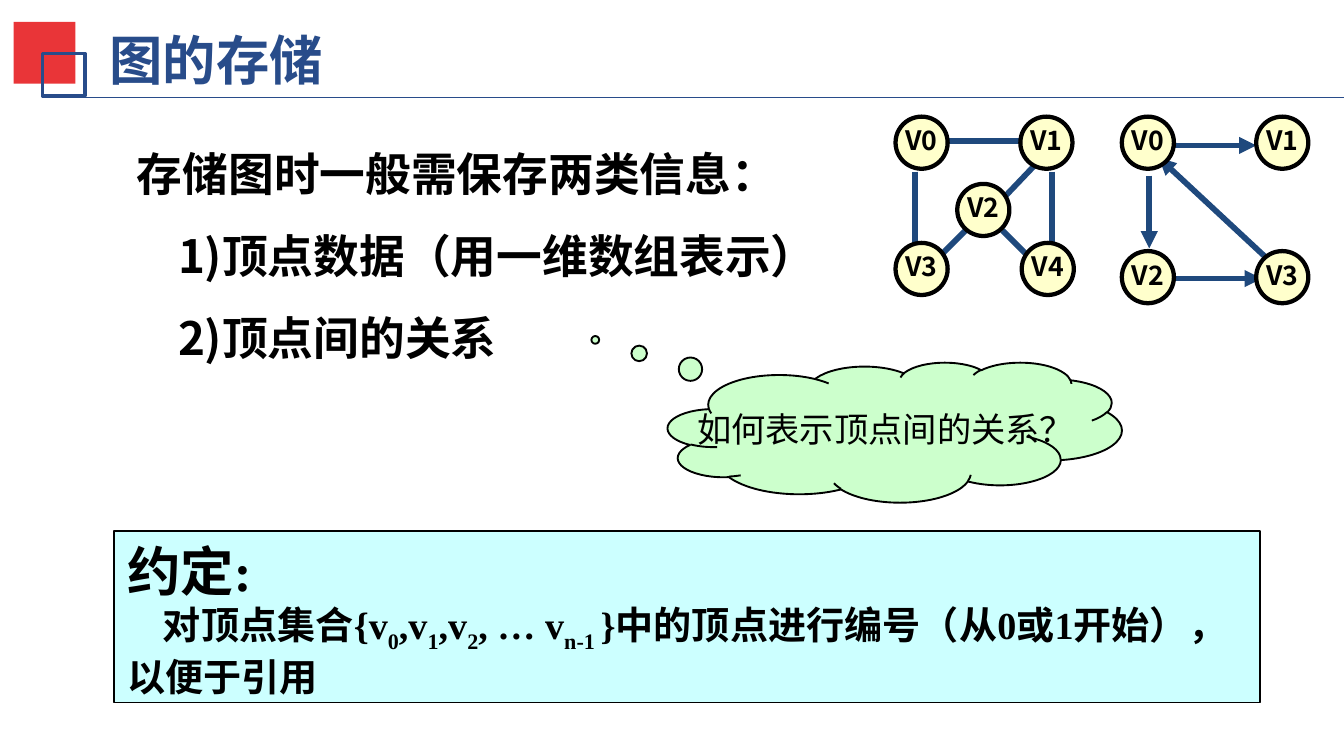
import pptx
import pptx.util
import pptx.dml.color
import pptx.enum.shapes
import pptx.enum.text
import pptx.oxml.ns
from lxml import etree

Inches, Pt = pptx.util.Inches, pptx.util.Pt
SHAPE = pptx.enum.shapes.MSO_SHAPE
ALIGN = pptx.enum.text.PP_ALIGN
ANCHOR = pptx.enum.text.MSO_ANCHOR
qn = pptx.oxml.ns.qn
SANS, SERIF = "Noto Sans CJK SC", "Times New Roman"
NAVY, EDGE, BLACK = "284C8A", "1F497D", "000000"

prs = pptx.Presentation()
prs.slide_width, prs.slide_height = Inches(9.8), Inches(5.51)
slide = prs.slides.add_slide(prs.slide_layouts[6])


def paint(target, fill=None, line=None, width=1, font=None):
    """Colour a shape, a connector or a run from hex strings."""
    rgb = pptx.dml.color.RGBColor.from_string
    if font:
        target.font.color.rgb = rgb(font)
        return
    if hasattr(target, "fill"):
        target.shadow.inherit = False
        if fill:
            target.fill.solid()
            target.fill.fore_color.rgb = rgb(fill)
        else:
            target.fill.background()
    if line:
        target.line.color.rgb = rgb(line)
        target.line.width = Pt(width)
    else:
        target.line.fill.background()


def add_run(p, text, size, font=SANS, color=BLACK, bold=True):
    r = p.add_run()
    r.text = text
    r.font.size, r.font.bold, r.font.name = Pt(size), bold, font
    paint(r, font=color)
    etree.SubElement(r.font._element, qn("a:ea")).set("typeface", SANS)
    return r


# Title with its red and blue squares
s = slide.shapes.add_textbox(Inches(0.73), Inches(0.16), Inches(6.91), Inches(0.55))
tf = s.text_frame
tf.word_wrap = True
tf.margin_left = tf.margin_right = Inches(0.07)
tf.margin_top = tf.margin_bottom = Inches(0.04)
add_run(tf.paragraphs[0], "图的存储", 28, SERIF, NAVY)

for left, top, side, fill, line in [(0.1, 0.16, 0.45, "E93538", None),
                                    (0.31, 0.39, 0.31, None, NAVY)]:
    s = slide.shapes.add_shape(SHAPE.RECTANGLE, Inches(left), Inches(top),
                               Inches(side), Inches(side))
    paint(s, fill, line, 2)

# Two kinds of information to store
s = slide.shapes.add_textbox(Inches(0.9), Inches(0.81), Inches(6.44), Inches(1.92))
tf = s.text_frame
tf.word_wrap = True
lines = ["存储图时一般需保存两类信息：", "1)顶点数据（用一维数组表示）", "2)顶点间的关系"]
for i, text in enumerate(lines):
    p = tf.add_paragraph() if i else tf.paragraphs[0]
    p.line_spacing = 1.5
    if i:
        p._p.get_or_add_pPr().set("marL", str(Inches(0.3)))
    add_run(p, text, 24)

# Numbering convention
s = slide.shapes.add_shape(SHAPE.RECTANGLE, Inches(0.83), Inches(3.87),
                           Inches(8.36), Inches(1.25))
paint(s, "CCFFFF", BLACK)
tf = s.text_frame
tf.word_wrap = True
tf.vertical_anchor = ANCHOR.TOP
p = tf.paragraphs[0]
p.alignment = ALIGN.LEFT
add_run(p, "约定:", 28, SERIF)
p = tf.add_paragraph()
p.alignment = ALIGN.LEFT
p._p.get_or_add_pPr().set("indent", str(Inches(0.26)))
parts = ["对顶点集合{v", "0", ",v", "1", ",v", "2", ", … v", "n-1 ",
         "}中的顶点进行编号（从0或1开始），以便于引用"]
for i, text in enumerate(parts):
    r = add_run(p, text, 20, SERIF)
    if i % 2:
        r.font._element.set("baseline", "-25000")

# Title rule and graph edges: from x, y, to x, y, colour, width, arrow
undirected = [(6.67, 1.25, 6.67, 1.78), (6.89, 1.03, 7.5, 1.03),
              (7.67, 1.25, 7.67, 1.78), (7.07, 1.65, 6.85, 1.87),
              (7.54, 1.21, 7.33, 1.43), (7.31, 1.68, 7.5, 1.87)]
directed = [(8.38, 1.28, 8.38, 1.81), (8.55, 2.03, 9.2, 2.03),
            (8.55, 1.06, 9.16, 1.06), (9.31, 1.95, 8.45, 1.15)]
edges = [((0.38, 0.71, 9.8, 0.71), NAVY, 0.75, False)]
edges += [(ends, EDGE, 3, False) for ends in undirected]
edges += [(ends, EDGE, 3, True) for ends in directed]
for ends, color, width, arrow in edges:
    s = slide.shapes.add_connector(pptx.enum.shapes.MSO_CONNECTOR.STRAIGHT,
                                   *[Inches(v) for v in ends])
    paint(s, line=color, width=width)
    if arrow:
        etree.SubElement(s.line._get_or_add_ln(), qn("a:tailEnd")).set("type", "triangle")
    etree.SubElement(s._element.spPr, qn("a:effectLst"))

# Graph vertices
vertices = [("V0", 6.53, 0.85), ("V1", 7.44, 0.85), ("V2", 6.98, 1.34),
            ("V3", 6.53, 1.77), ("V4", 7.45, 1.77),
            ("V0", 8.18, 0.85), ("V1", 9.16, 0.85),
            ("V2", 8.18, 1.83), ("V3", 9.16, 1.83)]
for name, left, top in vertices:
    s = slide.shapes.add_shape(SHAPE.OVAL, Inches(left), Inches(top),
                               Inches(0.38), Inches(0.38))
    paint(s, "FFFFCC", BLACK, 2.25)
    tf = s.text_frame
    tf.word_wrap = False
    tf.margin_left = tf.margin_right = tf.margin_top = 0
    tf.margin_bottom = Inches(0.04)
    tf.vertical_anchor = ANCHOR.MIDDLE
    p = tf.paragraphs[0]
    p.alignment = ALIGN.CENTER
    add_run(p, name, 14)

# Question in the thought cloud
s = slide.shapes.add_shape(SHAPE.CLOUD_CALLOUT, Inches(4.87), Inches(2.64),
                           Inches(3.31), Inches(1.02))
s.adjustments[0] = s.adjustments[1] = -0.66
paint(s, "CCFFCC", BLACK)
tf = s.text_frame
tf.word_wrap = False
tf.margin_left = Inches(0.2)
tf.vertical_anchor = ANCHOR.MIDDLE
p = tf.paragraphs[0]
p.alignment = ALIGN.CENTER
add_run(p, "如何表示顶点间的关系？", 18, bold=False)

prs.save("out.pptx")
